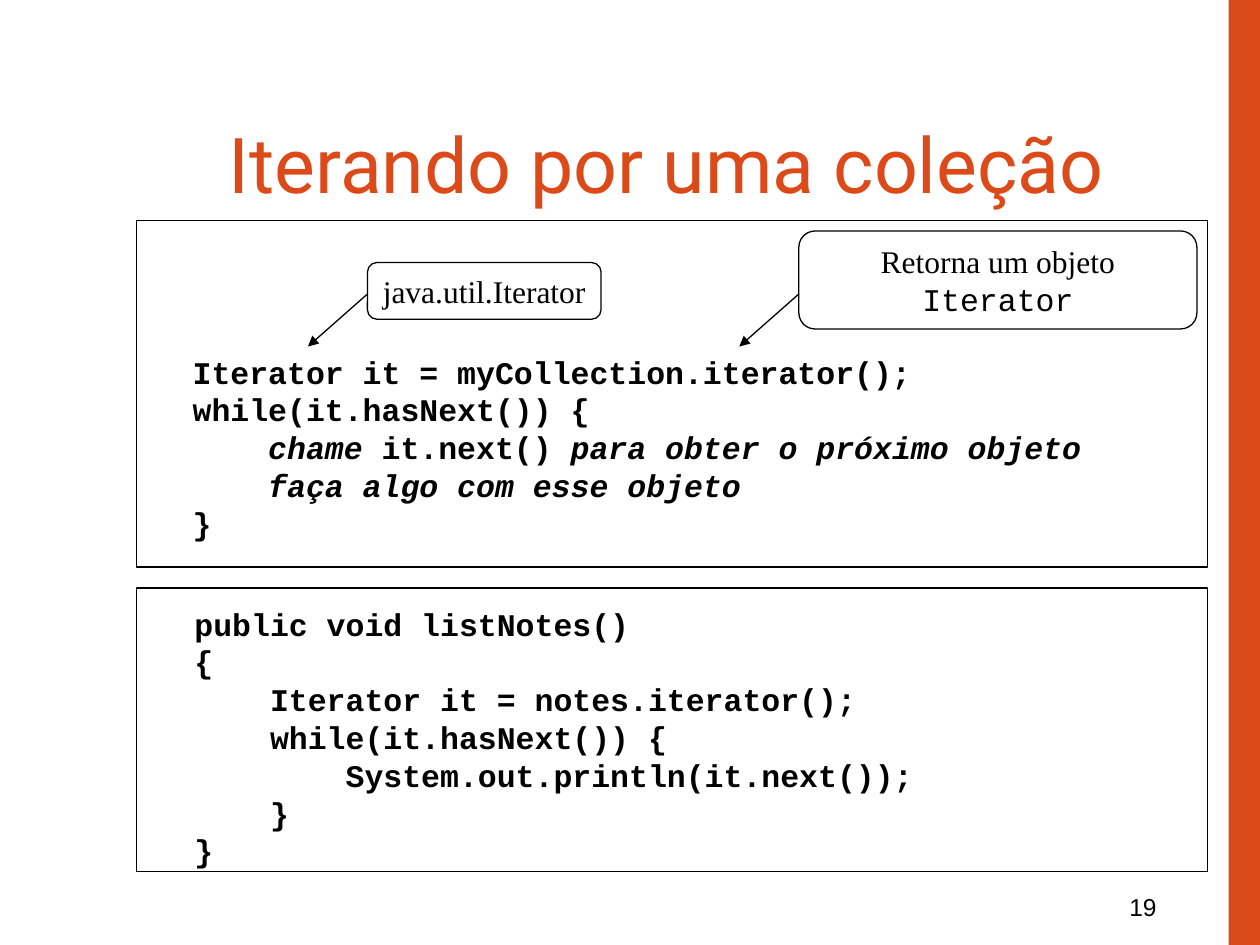
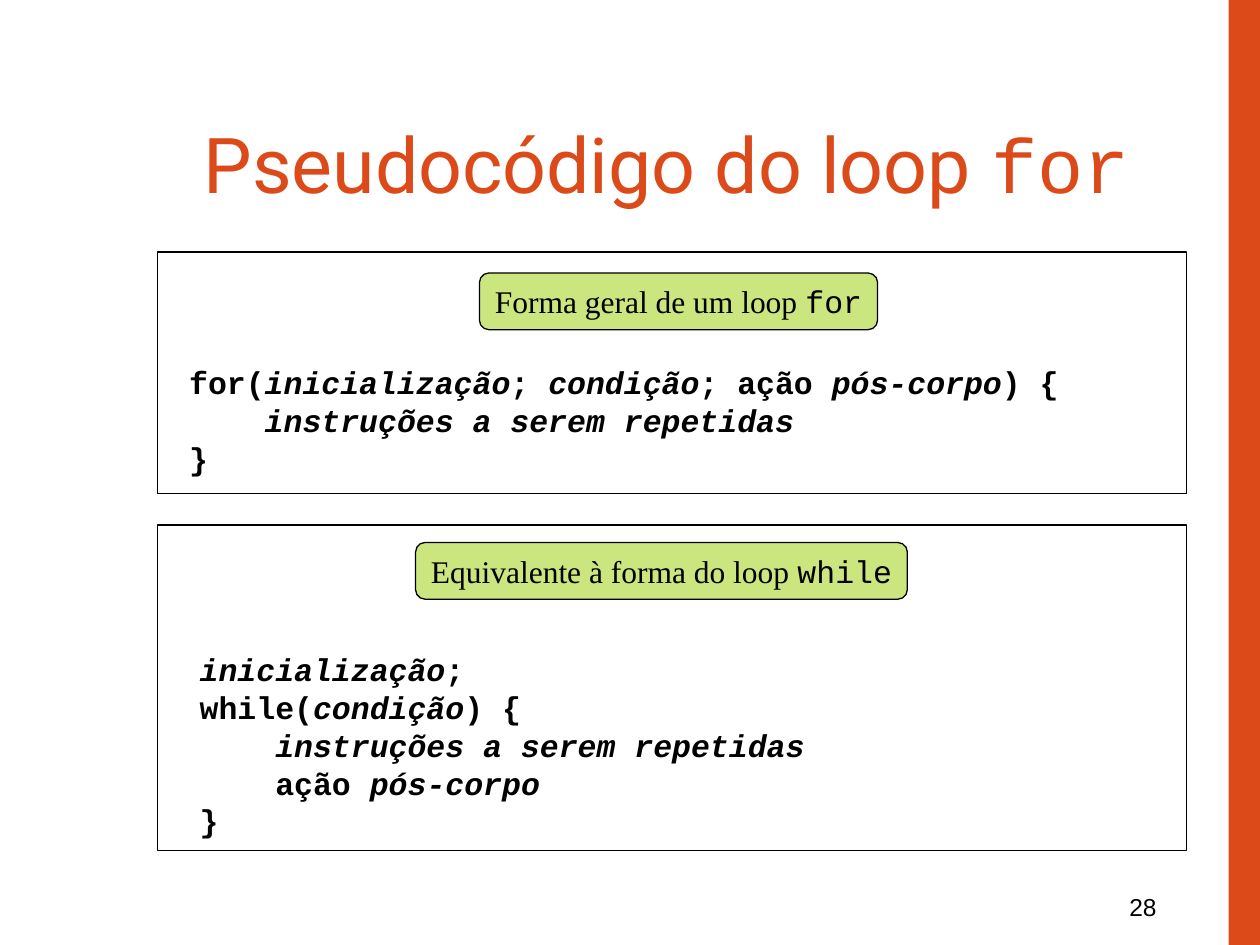
"""Build two slides on Java iteration: framed code listings with rounded labels."""
from lxml import etree
from pptx import Presentation
from pptx.dml.color import RGBColor
from pptx.enum.shapes import MSO_CONNECTOR, MSO_SHAPE
from pptx.enum.text import MSO_ANCHOR, MSO_AUTO_SIZE, PP_ALIGN
from pptx.oxml.ns import qn
from pptx.util import Pt

RECT, ROUNDED = MSO_SHAPE.RECTANGLE, MSO_SHAPE.ROUNDED_RECTANGLE
STRAIGHT = MSO_CONNECTOR.STRAIGHT
TOP, MIDDLE = MSO_ANCHOR.TOP, MSO_ANCHOR.MIDDLE
LEFT, CENTER, RIGHT = PP_ALIGN.LEFT, PP_ALIGN.CENTER, PP_ALIGN.RIGHT
NO_FIT = MSO_AUTO_SIZE.NONE

THEME = {
    "accent": RGBColor(0xDC, 0x4A, 0x1A),
    "ink": RGBColor(0, 0, 0),
    "label": RGBColor(0x99, 0xCC, 0x00),
    "label_alpha": "50000",
    "line": 0.75,
    "leading": 21.6,
    "char": 10.8,
    "title": {"name": "Roboto", "size": Pt(44)},
    "code": {"name": "Courier New", "size": Pt(18), "bold": True},
    "note": {"name": "Times New Roman", "size": Pt(18)},
    "page": {"name": "Arial", "size": Pt(14)},
}
MONO, ITALIC = {"name": "Courier New"}, {"italic": True}
TITLE_BOX = (78, 48, 606, 90)
BAND_BOX = (702, 0, 18, 540)
PAGE_BOX = (630, 506, 38, 24)
ARROW = (-34, 30)

SLIDES = [
    {
        "title": "Iterando por uma coleção", "page": "19",
        "frames": [(78, 126, 612, 198), (78, 336, 612, 162)],
        "labels": [
            ("java.util.Iterator", (210, 150, 133.5, 32.4)),
            ("Retorna um objeto *Iterator*", (456.5, 132, 227.5, 56)),
        ],
        "filled": False, "arrow_y": 168,
        "code": [
            ((103, 198), [
                "Iterator it = myCollection.iterator();",
                "while(it.hasNext()) {",
                "    *chame *it.next()* para obter o próximo objeto*",
                "    *faça algo com esse objeto*",
                "}",
            ]),
            ((104, 342), [
                "public void listNotes()",
                "{",
                "    Iterator it = notes.iterator();",
                "    while(it.hasNext()) {",
                "        System.out.println(it.next());",
                "    }",
                "}",
            ]),
        ],
    },
    {
        "title": "Pseudocódigo do loop *for*", "page": "28",
        "frames": [(90, 144, 588, 138), (90, 300, 588, 186)],
        "labels": [
            ("Forma geral de um loop *for*", (274, 156, 227.5, 32.4)),
            ("Equivalente à forma do loop *while*", (237.5, 310, 281, 32.4)),
        ],
        "filled": True, "arrow_y": None,
        "code": [
            ((101, 204), [
                "for(*inicialização*; *condição*; ação *pós-corpo*) {",
                "    *instruções a serem repetidas*",
                "}",
            ]),
            ((107, 368), [
                "*inicialização*;",
                "while(*condição*) {",
                "    *instruções a serem repetidas*",
                "    ação *pós-corpo*",
                "}",
            ]),
        ],
    },
]


def points(box):
    return [Pt(v) for v in box]


def write(sp, lines, style, color, alt=None, align=LEFT, anchor=TOP, wrap=True, leading=None):
    tf = sp.text_frame
    frame = {"auto_size": NO_FIT, "word_wrap": wrap, "vertical_anchor": anchor,
             "margin_left": Pt(7.2), "margin_right": Pt(7.2),
             "margin_top": Pt(3.6), "margin_bottom": Pt(3.6)}
    for key, value in frame.items():
        setattr(tf, key, value)
    for i, line in enumerate(lines):
        p = tf.add_paragraph() if i else tf.paragraphs[0]
        p.alignment = align
        if leading:
            p.line_spacing = Pt(leading)
        for j, part in enumerate(line.split("*")):
            if part:
                r = p.add_run()
                r.text = part
                r.font.color.rgb = color
                for key, value in {**style, **(alt if j % 2 else {})}.items():
                    setattr(r.font, key, value)


def add_box(s, kind, box, fill=None, outlined=True):
    sp = s.shapes.add_shape(kind, *points(box))
    sp.shadow.inherit = False
    if fill is None:
        sp.fill.background()
    else:
        sp.fill.solid()
        sp.fill.fore_color.rgb = fill
    if outlined:
        sp.line.color.rgb = THEME["ink"]
        sp.line.width = Pt(THEME["line"])
    else:
        sp.line.fill.background()
    return sp


def add_label(s, text, box, filled):
    sp = add_box(s, ROUNDED, box, THEME["label"] if filled else None)
    if filled:
        color = sp.fill._xPr.find(qn("a:solidFill"))[0]
        etree.SubElement(color, qn("a:alpha"), val=THEME["label_alpha"])
    wrap = box[3] > 2 * THEME["leading"]
    write(sp, [text], THEME["note"], THEME["ink"], MONO, CENTER, MIDDLE, wrap,
          THEME["leading"] if wrap else None)


def add_arrow(s, x, y):
    cx = s.shapes.add_connector(STRAIGHT, *points((x, y, x + ARROW[0], y + ARROW[1])))
    cx.line.color.rgb = THEME["ink"]
    cx.line.width = Pt(THEME["line"])
    etree.SubElement(cx.line._get_or_add_ln(), qn("a:tailEnd"), type="triangle")
    etree.SubElement(cx._element.spPr, qn("a:effectLst"))


def add_code(s, spot, lines):
    longest = max(len(line.replace("*", "")) for line in lines)
    size = (longest * THEME["char"] + 15, len(lines) * THEME["leading"] + 7.2)
    sp = s.shapes.add_textbox(*points(spot + size))
    write(sp, lines, THEME["code"], THEME["ink"], ITALIC, wrap=False, leading=THEME["leading"])


def add_base(prs, title, page):
    s = prs.slides.add_slide(prs.slide_layouts[5])
    sp = s.shapes.title
    sp.left, sp.top, sp.width, sp.height = points(TITLE_BOX)
    write(sp, [title], THEME["title"], THEME["accent"], MONO, CENTER, MIDDLE)
    add_box(s, RECT, BAND_BOX, THEME["accent"], outlined=False)
    sp = s.shapes.add_textbox(*points(PAGE_BOX))
    write(sp, [page], THEME["page"], THEME["ink"], align=RIGHT)
    return s


def main():
    prs = Presentation()
    prs.slide_width, prs.slide_height = Pt(720), Pt(540)
    for data in SLIDES:
        s = add_base(prs, data["title"], data["page"])
        for frame in data["frames"]:
            add_box(s, RECT, frame)
        for spot, lines in data["code"]:
            add_code(s, spot, lines)
        for text, box in data["labels"]:
            add_label(s, text, box, data["filled"])
            if data["arrow_y"]:
                add_arrow(s, box[0], data["arrow_y"])
    prs.save("out.pptx")


if __name__ == "__main__":
    main()
